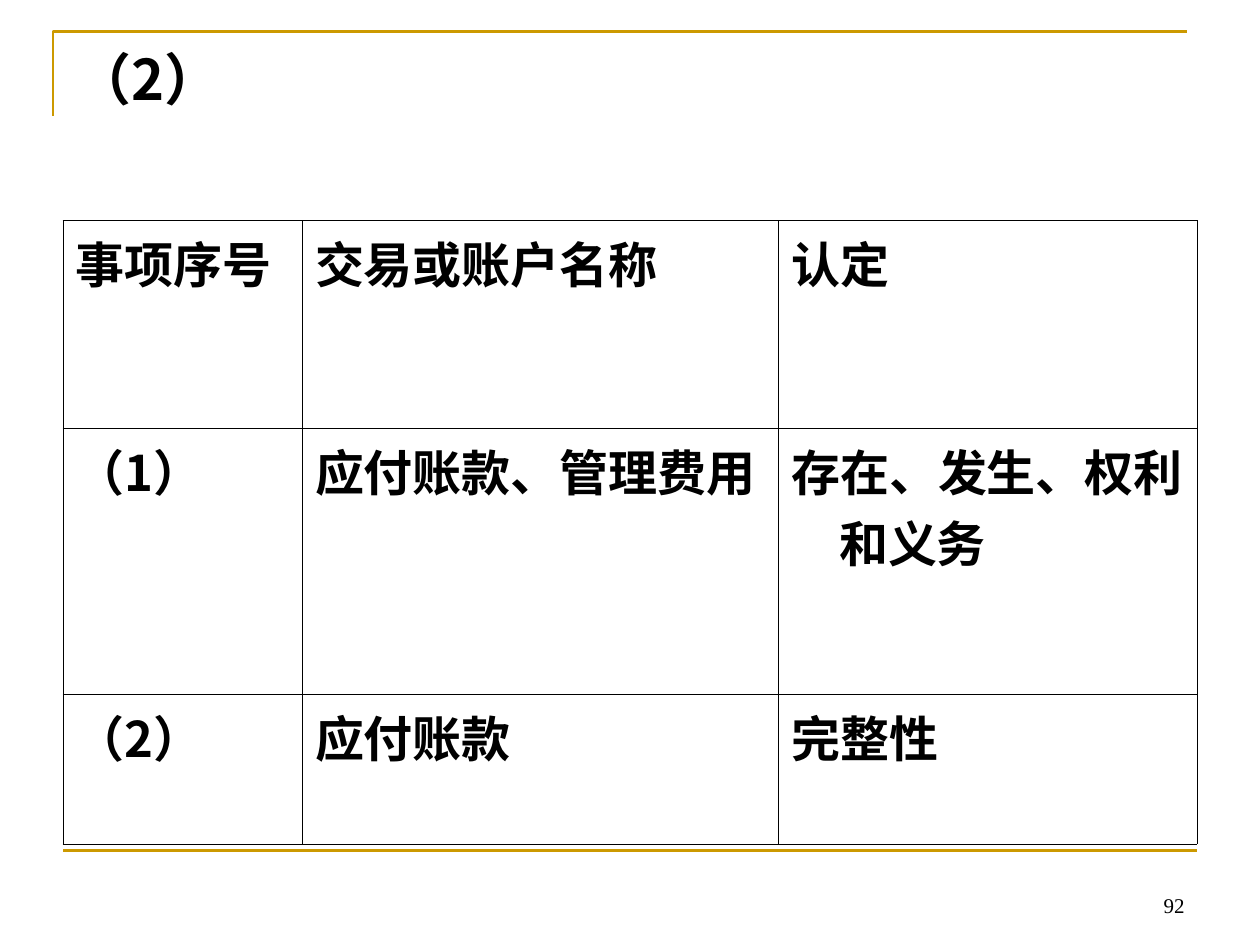
from lxml.etree import SubElement
from pptx import Presentation
from pptx.dml.color import RGBColor
from pptx.enum.shapes import MSO_CONNECTOR as CONN
from pptx.enum.text import MSO_ANCHOR as ANCHOR, MSO_AUTO_SIZE as AUTO, PP_ALIGN as ALIGN
from pptx.oxml.ns import qn
from pptx.util import Inches, Pt


def rgb(value):
    return RGBColor.from_string(value)


class Deck:
    SANS = "Noto Sans CJK SC"
    SERIF = "Times New Roman"
    INK = "000000"
    GOLD = "CC9900"

    def __init__(self, prs):
        self.s = prs.slides.add_slide(prs.slide_layouts[5])

    def set_text(self, p, text, size, font, bold=False, align=ALIGN.LEFT):
        p.text = text
        p.alignment = align
        p.font.size = Pt(size)
        p.font.bold = bold
        p.font.color.rgb = rgb(self.INK)
        p.font.name = font
        props = p._p.get_or_add_pPr().find(qn("a:defRPr"))
        SubElement(props, qn("a:ea"), typeface=font)

    def title(self, text, x, y, w, h):
        sp = self.s.shapes.title
        sp.left, sp.top, sp.width, sp.height = map(Inches, (x, y, w, h))
        tf = sp.text_frame
        tf.auto_size = AUTO.NONE
        tf.vertical_anchor = ANCHOR.TOP
        self.set_text(tf.paragraphs[0], text, 32, self.SANS, True)

    def corner(self, x, y, w, h):
        builder = self.s.shapes.build_freeform(Inches(x), Inches(y + h))
        builder.add_line_segments(
            [(Inches(x), Inches(y)), (Inches(x + w), Inches(y))], close=False)
        sp = builder.convert_to_shape()
        sp.shadow.inherit = False
        sp.fill.background()
        self.stroke(sp)

    def rule(self, x, y, w):
        line = self.s.shapes.add_connector(
            CONN.STRAIGHT, Inches(x), Inches(y), Inches(x + w), Inches(y))
        self.stroke(line)
        SubElement(line._element.spPr, qn("a:effectLst"))

    def stroke(self, sp):
        sp.line.color.rgb = rgb(self.GOLD)
        sp.line.width = Pt(1.5)

    def table(self, rows, x, y, widths, heights):
        table = self.s.shapes.add_table(
            len(rows), len(widths), Inches(x), Inches(y),
            Inches(sum(widths)), Inches(sum(heights))).table
        table.first_row = table.horz_banding = False
        for column, width in zip(table.columns, widths):
            column.width = Inches(width)
        for row, height, texts in zip(table.rows, heights, rows):
            row.height = Inches(height)
            for cell, text in zip(row.cells, texts):
                self.cell(cell, text)

    def cell(self, cell, text):
        tc_pr = cell._tc.get_or_add_tcPr()
        for side in "LRTB":
            ln = SubElement(tc_pr, qn(f"a:ln{side}"), w=str(Pt(0.45)))
            fill = SubElement(ln, qn("a:solidFill"))
            SubElement(fill, qn("a:srgbClr"), val=self.INK)
        cell.fill.background()
        p = cell.text_frame.paragraphs[0]
        p_pr = p._p.get_or_add_pPr()
        p_pr.set("marL", str(Inches(0.38)))
        p_pr.set("indent", str(Inches(-0.38)))
        self.set_text(p, text, 28, self.SANS, True)

    def page_number(self, text, x, y, w, h):
        tf = self.s.shapes.add_textbox(*map(Inches, (x, y, w, h))).text_frame
        tf.word_wrap = True
        tf.vertical_anchor = ANCHOR.BOTTOM
        self.set_text(tf.paragraphs[0], text, 12, self.SERIF, align=ALIGN.RIGHT)


def main():
    prs = Presentation()
    prs.slide_width, prs.slide_height = Inches(10), Inches(7.5)
    deck = Deck(prs)
    deck.corner(0.42, 0.25, 9, 0.67)
    deck.rule(0.5, 6.75, 9)
    deck.title("（2）", 0.5, 0.3, 9, 0.69)
    deck.table(
        [("事项序号", "交易或账户名称", "认定"),
         ("（1）", "应付账款、管理费用", "存在、发生、权利和义务"),
         ("（2）", "应付账款", "完整性")],
        0.5, 1.75, (1.9, 3.78, 3.32), (1.65, 2.11, 1.19))
    deck.page_number("92", 7.17, 6.83, 2.33, 0.5)
    prs.save("out.pptx")


if __name__ == "__main__":
    main()
